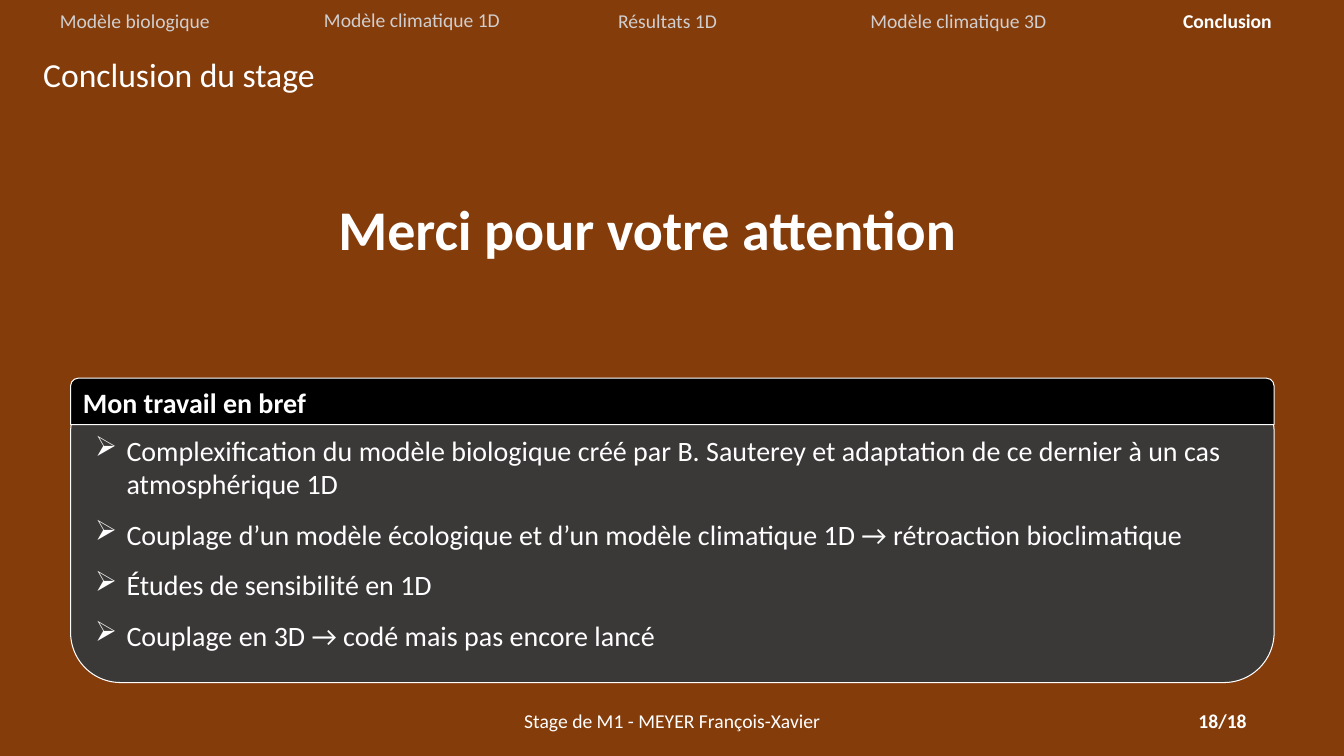
"""Build the closing slide of an internship talk."""
from dataclasses import dataclass

import lxml.etree
import pptx
import pptx.dml.color
import pptx.enum.shapes
import pptx.enum.text
import pptx.oxml.ns
import pptx.shapes.autoshape
import pptx.slide
import pptx.text.text
import pptx.util

Cm = pptx.util.Cm
RGBColor = pptx.dml.color.RGBColor
Align = pptx.enum.text.PP_ALIGN
Anchor = pptx.enum.text.MSO_ANCHOR
Kind = pptx.enum.shapes.MSO_SHAPE

BROWN = RGBColor(0x84, 0x3C, 0x0B)
WHITE = RGBColor(0xFF, 0xFF, 0xFF)
PALE = RGBColor(0xD0, 0xCE, 0xCE)
DARK = RGBColor(0x3B, 0x38, 0x38)
BLACK = RGBColor(0, 0, 0)
FONT = "Calibri"
INDENT = Cm(0.79)


@dataclass
class Label:
    """A line of text in its own box, in centimetres."""
    text: str
    left: float
    top: float
    width: float
    height: float
    size: int = 14
    color: RGBColor = WHITE
    bold: bool = False
    align: Align = Align.LEFT
    anchor: Anchor = Anchor.TOP


@dataclass
class Tab:
    """One entry of the top menu."""
    text: str
    left: float
    width: float
    top: float = 0.1
    live: bool = False


@dataclass
class Panel:
    """A filled shape of the summary card."""
    kind: Kind
    top: float
    height: float
    fill: RGBColor


TABS = [
    Tab("Modèle biologique", 1.09, 4.62),
    Tab("Modèle climatique 1D", 7.59, 5.59, top=0.08),
    Tab("Résultats 1D", 15.06, 3.53),
    Tab("Modèle climatique 3D", 21.36, 5.59),
    Tab("Conclusion", 29.08, 3.71, live=True),
]
LABELS = [
    Label("Stage de M1 - MEYER François-Xavier", 11.23, 17.65, 11.43, 1.02,
          align=Align.CENTER, anchor=Anchor.MIDDLE),
    Label("18/18", 24.05, 17.65, 7.62, 1.02, bold=True,
          align=Align.RIGHT, anchor=Anchor.MIDDLE),
    Label("Conclusion du stage", 0.84, 1.24, 22.33, 1.27, size=24),
    Label("Merci pour votre attention", 8.28, 4.78, 17.12, 1.96,
          size=40, bold=True),
]
BODY = Panel(Kind.ROUNDED_RECTANGLE, 9.63, 7.57, DARK)
HEAD = Panel(Kind.ROUND_2_SAME_RECTANGLE, 9.53, 1.17, BLACK)
POINTS = [
    "Complexification du modèle biologique créé par B. Sauterey et adaptation "
    "de ce dernier à un cas atmosphérique 1D",
    "Couplage d’un modèle écologique et d’un modèle climatique 1D → "
    "rétroaction bioclimatique",
    "Études de sensibilité en 1D",
    "Couplage en 3D → codé mais pas encore lancé",
]


def write(para: pptx.text.text._Paragraph, text: str, size: int,
          color: RGBColor = WHITE, bold: bool = False) -> None:
    """Add one styled run to a paragraph."""
    run = para.add_run()
    run.text = text
    run.font.name = FONT
    run.font.size = pptx.util.Pt(size)
    run.font.bold = bold
    run.font.color.rgb = color


def add_label(slide: pptx.slide.Slide, item: Label) -> None:
    """Draw a text box."""
    box = slide.shapes.add_textbox(Cm(item.left), Cm(item.top),
                                   Cm(item.width), Cm(item.height))
    frame = box.text_frame
    frame.word_wrap = True
    frame.vertical_anchor = item.anchor
    para = frame.paragraphs[0]
    para.alignment = item.align
    write(para, item.text, item.size, item.color, item.bold)


def add_tab(slide: pptx.slide.Slide, tab: Tab) -> None:
    """Draw a menu entry, bright when it is the current part."""
    color = WHITE if tab.live else PALE
    add_label(slide, Label(tab.text, tab.left, tab.top, tab.width, 0.86,
                           color=color, bold=tab.live, align=Align.CENTER))


def add_panel(slide: pptx.slide.Slide,
              panel: Panel) -> pptx.text.text.TextFrame:
    """Draw a panel and return its text frame."""
    shape = slide.shapes.add_shape(panel.kind, Cm(1.78), Cm(panel.top),
                                   Cm(30.33), Cm(panel.height))
    shape.shadow.inherit = False
    shape.fill.solid()
    shape.fill.fore_color.rgb = panel.fill
    shape.line.color.rgb = WHITE
    shape.line.width = pptx.util.Pt(0.75)
    frame = shape.text_frame
    frame.word_wrap = True
    frame.vertical_anchor = Anchor.TOP
    frame.paragraphs[0].alignment = Align.LEFT
    return frame


def add_points(frame: pptx.text.text.TextFrame, points: list[str]) -> None:
    """Write the bulleted list."""
    for rank, text in enumerate(points):
        para = frame.add_paragraph() if rank else frame.paragraphs[0]
        para.alignment = Align.LEFT
        if rank:
            para.line_spacing = 1.5
        props = para._p.get_or_add_pPr()
        props.set("marL", str(INDENT))
        props.set("indent", str(-INDENT))
        mark = lxml.etree.SubElement(props, pptx.oxml.ns.qn("a:buChar"))
        mark.set("char", "➢")
        write(para, text, 20)


def main() -> None:
    """Build and save the deck."""
    deck = pptx.Presentation()
    deck.slide_width, deck.slide_height = Cm(33.87), Cm(19.05)
    slide = deck.slides.add_slide(deck.slide_layouts[6])
    slide.background.fill.solid()
    slide.background.fill.fore_color.rgb = BROWN
    body = add_panel(slide, BODY)
    body.margin_top = Cm(0.92)
    add_points(body, POINTS)
    head = add_panel(slide, HEAD)
    write(head.paragraphs[0], "Mon travail en bref", 20, bold=True)
    for tab in TABS:
        add_tab(slide, tab)
    for item in LABELS:
        add_label(slide, item)
    deck.save("out.pptx")


if __name__ == "__main__":
    main()
